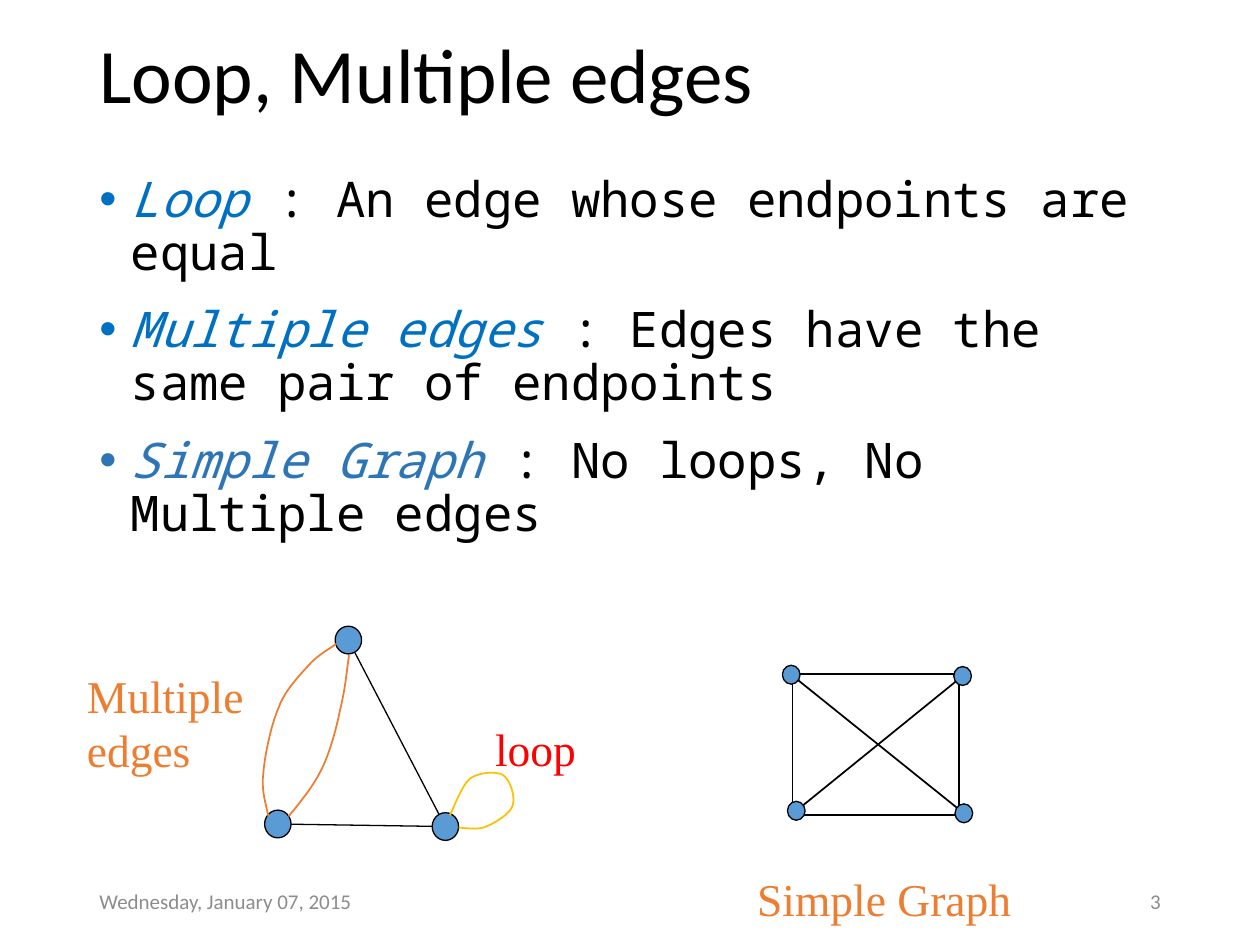
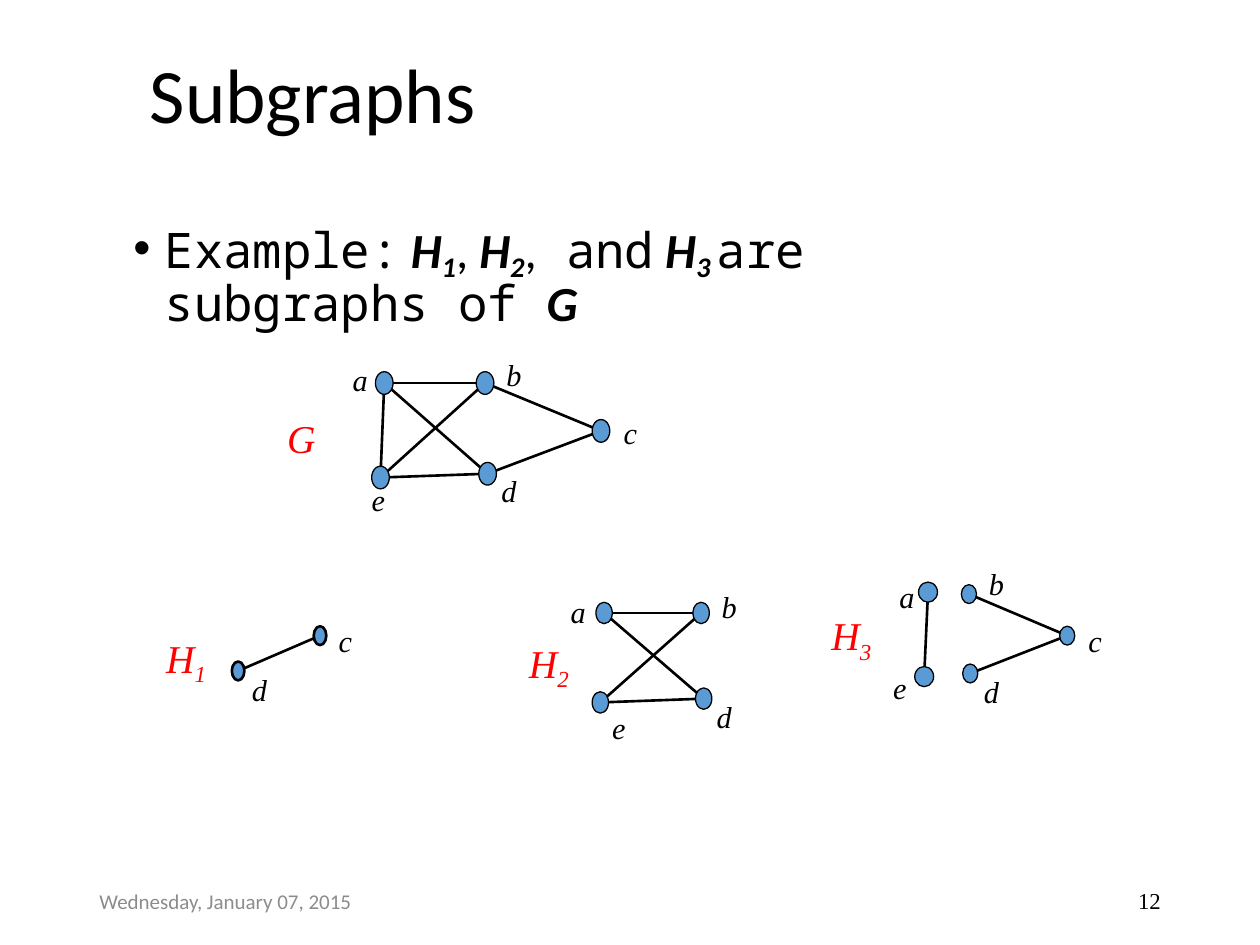
from math import hypot

from lxml import etree
from pptx import Presentation
from pptx.dml.color import RGBColor
from pptx.enum.shapes import MSO_CONNECTOR, MSO_SHAPE
from pptx.enum.text import MSO_ANCHOR, PP_ALIGN
from pptx.oxml.ns import qn
from pptx.util import Inches, Pt

BLACK = RGBColor(0x00, 0x00, 0x00)
RED = RGBColor(0xFF, 0x00, 0x00)
ORANGE = RGBColor(0xED, 0x7D, 0x31)
GOLD = RGBColor(0xFF, 0xC0, 0x00)
NODE_BLUE = RGBColor(0x5B, 0x9B, 0xD5)
TERM_BLUE = RGBColor(0x00, 0x70, 0xC0)
DARK_BLUE = RGBColor(0x2E, 0x75, 0xB6)
GRAY = RGBColor(0x8C, 0x8C, 0x8C)
SANS, MONO, SERIF = "Calibri", "Noto Sans Mono", "Times New Roman"

PLAIN = {"name": MONO}
SYMBOL = {"name": SANS, "bold": True, "italic": True}
COMMA = {"name": SANS}
INDEX = {**SYMBOL, "baseline": -20}


def add_frame(slide, box, margins=(0.1, 0.05), anchor=MSO_ANCHOR.TOP, wrap=True):
    """Add an empty text box and return its text frame."""
    frame = slide.shapes.add_textbox(*map(Inches, box)).text_frame
    frame.word_wrap = wrap
    frame.vertical_anchor = anchor
    frame.margin_left = frame.margin_right = Inches(margins[0])
    frame.margin_top = frame.margin_bottom = Inches(margins[1])
    return frame


def style_paragraph(paragraph, name, size, color, italic=False):
    """Set the font that all runs of a paragraph share."""
    font = paragraph.font
    font.name, font.size, font.italic = name, Pt(size), italic
    font.color.rgb = color


def add_run(paragraph, text, baseline=0, color=None, **font_values):
    """Append a run with its own font values and an optional baseline shift."""
    run = paragraph.add_run()
    run.text = text
    for key, value in font_values.items():
        setattr(run.font, key, value)
    if color is not None:
        run.font.color.rgb = color
    if baseline:
        run.font._element.set("baseline", str(baseline * 1000))


def add_title(slide, text, box):
    """Add the slide title."""
    frame = add_frame(slide, box, anchor=MSO_ANCHOR.MIDDLE)
    title = frame.paragraphs[0]
    title.text = text
    title.line_spacing = 0.9
    style_paragraph(title, SANS, 44, BLACK)


def add_bullets(slide, box, bullets):
    """Add bulleted paragraphs, each a list of (text, font values) runs."""
    frame = add_frame(slide, box)
    for number, runs in enumerate(bullets):
        bullet = frame.add_paragraph() if number else frame.paragraphs[0]
        bullet.line_spacing = 0.9
        bullet.space_before = Pt(14)
        properties = bullet._p.get_or_add_pPr()
        properties.set("marL", str(Inches(0.25)))
        properties.set("indent", str(-Inches(0.25)))
        etree.SubElement(properties, qn("a:buFont"), typeface="Arial")
        etree.SubElement(properties, qn("a:buChar"), char="\u2022")
        style_paragraph(bullet, MONO, 28, BLACK)
        for text, values in runs:
            add_run(bullet, text, **values)


def add_footer(slide, number, name=SANS, size=12, color=GRAY):
    """Add the date and the slide number."""
    parts = (
        (0.69, "Wednesday, January 07, 2015", PP_ALIGN.LEFT, (SANS, 12, GRAY)),
        (7.06, str(number), PP_ALIGN.RIGHT, (name, size, color)),
    )
    for left, text, alignment, style in parts:
        frame = add_frame(slide, (left, 6.95, 2.25, 0.4), anchor=MSO_ANCHOR.MIDDLE)
        footer = frame.paragraphs[0]
        footer.text = text
        footer.alignment = alignment
        style_paragraph(footer, *style)


def add_caption(slide, box, lines, color, wrap=False):
    """Add a large serif caption beside a drawing."""
    frame = add_frame(slide, box, (0.11, 0.06), wrap=wrap)
    for number, line in enumerate(lines):
        caption = frame.add_paragraph() if number else frame.paragraphs[0]
        caption.text = line
        style_paragraph(caption, SERIF, 26, color)


def add_graph_name(slide, left, top, letter, index="", width=0.93):
    """Add the red name of a graph with an optional index."""
    name = add_frame(slide, (left, top, width, 0.48)).paragraphs[0]
    style_paragraph(name, SERIF, 22.5, RED, italic=True)
    add_run(name, letter)
    if index:
        add_run(name, index, baseline=-25)


def add_line(slide, start, end, width):
    """Add a straight black line between two points."""
    line = slide.shapes.add_connector(
        MSO_CONNECTOR.STRAIGHT, *map(Inches, (*start, *end)))
    line.line.color.rgb = BLACK
    line.line.width = Pt(width)
    etree.SubElement(line._element.spPr, qn("a:effectLst"))


def add_node(slide, left, top, size, outline):
    """Add a vertex of a graph."""
    node = slide.shapes.add_shape(MSO_SHAPE.OVAL, *map(Inches, (left, top, *size)))
    node.shadow.inherit = False
    node.fill.solid()
    node.fill.fore_color.rgb = NODE_BLUE
    node.line.color.rgb = BLACK
    node.line.width = Pt(outline)


def add_edge(slide, start, end, size, width):
    """Join two vertices, from rim to rim."""
    centers = [(left + size[0] / 2, top + size[1] / 2) for left, top in (start, end)]
    (x1, y1), (x2, y2) = centers
    dx, dy = x2 - x1, y2 - y1
    trim = 1 / hypot(2 * dx / size[0], 2 * dy / size[1])
    add_line(slide, (x1 + dx * trim, y1 + dy * trim),
             (x2 - dx * trim, y2 - dy * trim), width)


def add_graph(slide, nodes, edges, size, edge_width=1.5, outline=0.75,
              labels=None, label_width=0.38):
    """Draw a graph from node corners, edge names such as 'ab', and label corners."""
    for first, second in edges.split():
        add_edge(slide, nodes[first], nodes[second], size, edge_width)
    for corner in nodes.values():
        add_node(slide, *corner, size, outline)
    for letter, corner in (labels or {}).items():
        label = add_frame(slide, (*corner, label_width, 0.39)).paragraphs[0]
        label.text = letter
        style_paragraph(label, SERIF, 17.3, BLACK, italic=True)


def add_curve(slide, points, color, steps=10):
    """Draw an open curve through chained cubic Bezier points."""
    traced = []
    for first in range(0, len(points) - 1, 3):
        segment = points[first:first + 4]
        for step in range(1, steps + 1):
            t = step / steps
            weights = ((1 - t) ** 3, 3 * t * (1 - t) ** 2, 3 * t * t * (1 - t), t ** 3)
            traced.append([Inches(sum(w * point[axis] for w, point in zip(weights, segment)))
                           for axis in (0, 1)])
    builder = slide.shapes.build_freeform(*map(Inches, points[0]))
    builder.add_line_segments(traced, close=False)
    curve = builder.convert_to_shape()
    curve.shadow.inherit = False
    curve.fill.background()
    curve.line.color.rgb = color
    curve.line.width = Pt(1)


def build_loop_slide(slide):
    """Build the slide on loops, multiple edges and simple graphs."""
    add_title(slide, "Loop, Multiple edges", (0.69, 0, 8.62, 1.24))
    definitions = (
        ("Loop ", TERM_BLUE, ": An edge whose endpoints are equal"),
        ("Multiple edges ", TERM_BLUE, ": Edges have the same pair of endpoints"),
        ("Simple Graph ", DARK_BLUE, ": No loops, No Multiple edges"),
    )
    add_bullets(slide, (0.69, 1.34, 8.62, 5.42), [
        [(term, {"color": color, "italic": True}), (meaning, {})]
        for term, color, meaning in definitions])

    add_caption(slide, (0.58, 5.24, 1.56, 0.98), ("Multiple ", "edges"), ORANGE)
    triangle = {"t": (2.66, 4.97), "l": (2.1, 6.43), "r": (3.43, 6.45)}
    add_graph(slide, triangle, "lr tr", (0.21, 0.22), edge_width=0.75)
    add_curve(slide, [
        (2.67, 5.11), (2.63, 5.14), (2.52, 5.2), (2.45, 5.28), (2.37, 5.37),
        (2.26, 5.48), (2.21, 5.62), (2.15, 5.76), (2.1, 6), (2.09, 6.14),
        (2.07, 6.28), (2.12, 6.41), (2.13, 6.48)], ORANGE)
    add_curve(slide, [
        (2.77, 5.2), (2.75, 5.34), (2.74, 5.47), (2.7, 5.63), (2.67, 5.78),
        (2.62, 5.97), (2.55, 6.11), (2.48, 6.25), (2.38, 6.37), (2.29, 6.48)], ORANGE)
    add_curve(slide, [
        (3.57, 6.47), (3.6, 6.42), (3.66, 6.24), (3.73, 6.18), (3.8, 6.13),
        (3.93, 6.12), (3.99, 6.15), (4.05, 6.19), (4.09, 6.32), (4.07, 6.39),
        (4.05, 6.46), (3.93, 6.53), (3.86, 6.56), (3.79, 6.59), (3.69, 6.57),
        (3.64, 6.57)], GOLD)
    add_caption(slide, (3.82, 5.66, 0.94, 0.55), ("loop",), RED, wrap=True)

    square = slide.shapes.add_shape(
        MSO_SHAPE.RECTANGLE, *map(Inches, (6.29, 5.35, 1.32, 1.12)))
    square.shadow.inherit = False
    square.fill.background()
    square.line.color.rgb = BLACK
    square.line.width = Pt(1)
    corners = {"a": (6.21, 5.28), "b": (7.57, 5.29), "c": (6.25, 6.36), "d": (7.58, 6.38)}
    add_graph(slide, corners, "ad cb", (0.14, 0.15), edge_width=1)
    add_caption(slide, (5.9, 6.85, 2.26, 0.55), ("Simple Graph",), ORANGE)
    add_footer(slide, 3)


def build_subgraph_slide(slide):
    """Build the slide with a graph and three of its subgraphs."""
    add_title(slide, "Subgraphs", (1.09, 0.18, 7.82, 1.21))
    add_bullets(slide, (0.96, 1.71, 7.82, 5.22), [[
        ("Example:", PLAIN), (" H", SYMBOL), ("1", INDEX), (", ", COMMA),
        ("H", SYMBOL), ("2", INDEX), (",", COMMA), (" and", PLAIN),
        (" H", SYMBOL), ("3 ", INDEX), ("are subgraphs of ", PLAIN), ("G", SYMBOL)]])

    add_graph_name(slide, 2.18, 3.24, "G", width=0.51)
    add_graph(
        slide,
        {"a": (2.98, 2.95), "b": (3.78, 2.95), "c": (4.7, 3.33),
         "d": (3.8, 3.67), "e": (2.95, 3.7)},
        "ae ed dc bc ab eb ad", (0.14, 0.18),
        labels={"a": (2.7, 2.82), "b": (3.92, 2.78), "c": (4.85, 3.24),
                "d": (3.88, 3.7), "e": (2.85, 3.77)})

    add_graph_name(slide, 1.22, 4.98, "H", "1")
    add_graph(
        slide, {"c": (2.49, 4.97), "d": (1.84, 5.25)}, "dc", (0.1, 0.15), outline=1.5,
        labels={"c": (2.59, 4.89), "d": (1.9, 5.28)}, label_width=0.27)

    add_graph_name(slide, 4.1, 5.02, "H", "2")
    add_graph(
        slide,
        {"a": (4.73, 4.78), "b": (5.5, 4.78), "d": (5.52, 5.46), "e": (4.7, 5.49)},
        "ed ab eb ad", (0.13, 0.17),
        labels={"a": (4.43, 4.66), "b": (5.63, 4.62), "d": (5.59, 5.49),
                "e": (4.76, 5.58)}, label_width=0.36)

    add_graph_name(slide, 6.5, 4.8, "H", "3")
    add_graph(
        slide, {"a": (7.29, 4.62), "e": (7.26, 5.29)}, "ae", (0.15, 0.16),
        labels={"a": (7.04, 4.54), "e": (6.99, 5.26)}, label_width=0.45)
    add_graph(
        slide, {"b": (7.63, 4.64), "c": (8.41, 4.97), "d": (7.64, 5.27)},
        "dc bc", (0.12, 0.15),
        labels={"b": (7.75, 4.44), "c": (8.54, 4.89), "d": (7.71, 5.29)},
        label_width=0.32)
    add_footer(slide, 12, SERIF, 13, BLACK)


def main():
    """Build and save the presentation."""
    presentation = Presentation()
    presentation.slide_width, presentation.slide_height = Inches(10), Inches(7.5)
    blank = presentation.slide_layouts[6]
    for build in (build_loop_slide, build_subgraph_slide):
        build(presentation.slides.add_slide(blank))
    presentation.save("out.pptx")


main()
